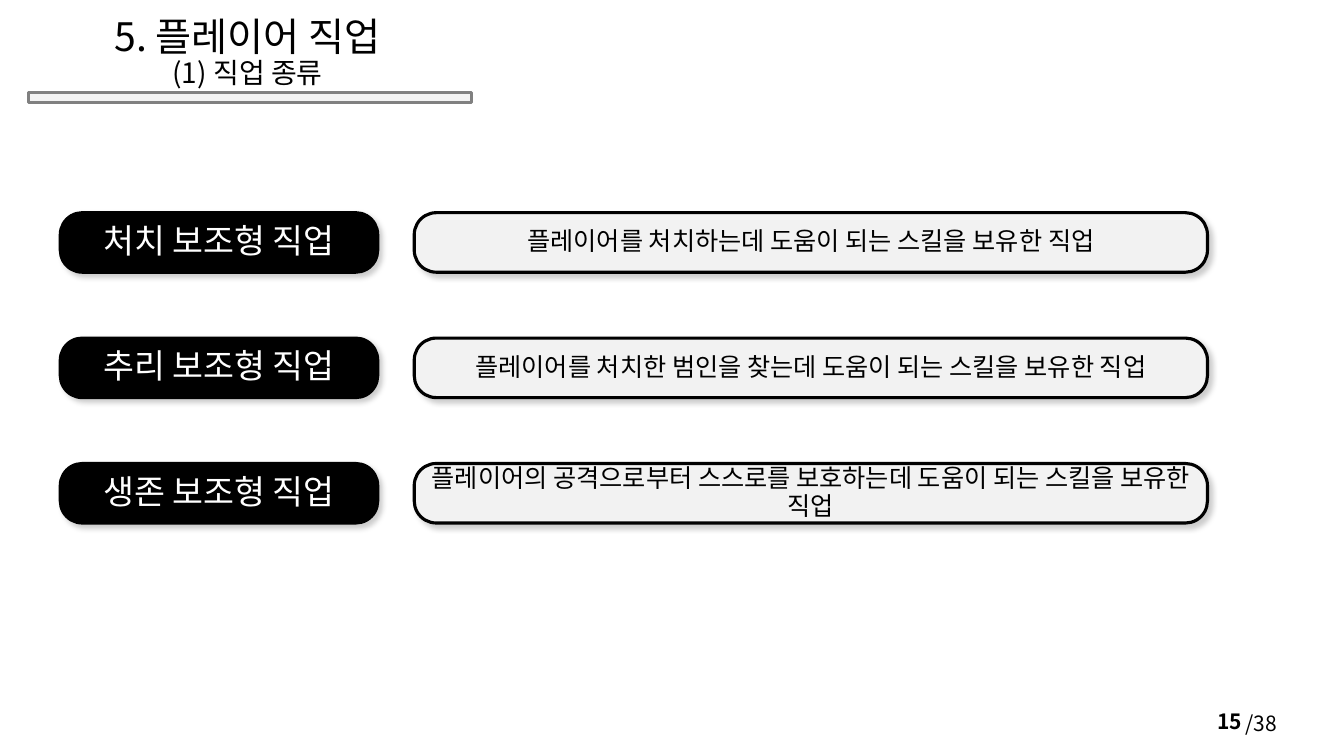
import pptx
import pptx.util
import pptx.dml.color
import pptx.enum.shapes
import pptx.enum.text
import lxml.etree
from pptx.oxml import parse_xml

Cm, Pt = pptx.util.Cm, pptx.util.Pt
ALIGN = pptx.enum.text.PP_ALIGN
ANCHOR = pptx.enum.text.MSO_ANCHOR
SHAPE = pptx.enum.shapes.MSO_SHAPE
FONT = "Noto Sans CJK KR"
NS = "http://schemas.openxmlformats.org/drawingml/2006/main"
SHADOW = (f'<a:effectLst xmlns:a="{NS}"><a:outerShdw blurRad="50800" dist="38100" '
          'dir="2700000" algn="tl" rotWithShape="0"><a:srgbClr val="000000">'
          '<a:alpha val="20000"/></a:srgbClr></a:outerShdw></a:effectLst>')


def rgb(code):
    return pptx.dml.color.RGBColor.from_string(code)


def style(box, size, color, align, anchor):
    """Format the first paragraph of a box and return it."""
    box.text_frame.word_wrap = True
    box.text_frame.vertical_anchor = anchor
    para = box.text_frame.paragraphs[0]
    para.alignment = align
    para.font.name = FONT
    para.font.size = Pt(size)
    para.font.color.rgb = rgb(color)
    latin = para.font._element.find(f"{{{NS}}}latin")
    east_asian = lxml.etree.Element(f"{{{NS}}}ea", typeface=FONT)
    latin.addnext(east_asian)
    return para


deck = pptx.Presentation()
deck.slide_width, deck.slide_height = Cm(33.87), Cm(19.05)
page = deck.slides.add_slide(deck.slide_layouts[6])

# Page total
total = page.shapes.add_textbox(Cm(31.14), Cm(17.78), Cm(1.88), Cm(0.89))
total.text_frame.text = "/38"
style(total, 15, "000000", ALIGN.LEFT, ANCHOR.TOP)

# Bar under the title
bar = page.shapes.add_shape(SHAPE.RECTANGLE, Cm(0.71), Cm(2.34), Cm(11.18), Cm(0.25))
bar.shadow.inherit = False
bar.fill.solid()
bar.fill.fore_color.rgb = rgb("F2F2F2")
bar.line.color.rgb = rgb("808080")
bar.line.width = Pt(2.25)

# Title and subtitle
title = page.shapes.add_textbox(Cm(0.97), Cm(0.74), Cm(10.54), Cm(1.65))
para = style(title, 28, "000000", ALIGN.CENTER, ANCHOR.BOTTOM)
para.line_spacing = 0.9
para.add_run().text = "5. 플레이어 직업"
para.add_line_break()
subtitle = para.add_run()
subtitle.text = "(1) 직업 종류"
subtitle.font.size = Pt(20)

# Page number
number = page.shapes.add_textbox(Cm(23.93), Cm(17.65), Cm(7.62), Cm(1.02))
number.text_frame.text = "15"
style(number, 15, "000000", ALIGN.RIGHT, ANCHOR.MIDDLE).font.bold = True

# Job types: name on the left, description on the right
jobs = [
    ("처치 보조형 직업", "플레이어를 처치하는데 도움이 되는 스킬을 보유한 직업"),
    ("추리 보조형 직업", "플레이어를 처치한 범인을 찾는데 도움이 되는 스킬을 보유한 직업"),
    ("생존 보조형 직업", "플레이어의 공격으로부터 스스로를 보호하는데 도움이 되는 스킬을 보유한 직업"),
]
columns = [  # left, width, fill, text size, text colour
    (1.52, 8, "000000", 24, "FFFFFF"),
    (10.44, 19.99, "F2F2F2", 18, "000000"),
]
for column, (left, width, fill, size, color) in enumerate(columns):
    for row, job in enumerate(jobs):
        pill = page.shapes.add_shape(SHAPE.ROUNDED_RECTANGLE, Cm(left),
                                     Cm(5.36 + 3.16 * row), Cm(width), Cm(1.5))
        pill.adjustments[0] = 0.37
        pill.fill.solid()
        pill.fill.fore_color.rgb = rgb(fill)
        pill.line.color.rgb = rgb("000000")
        pill.line.width = Pt(2.25)
        pill._element.spPr.append(parse_xml(SHADOW))
        pill.text_frame.text = job[column]
        style(pill, size, color, ALIGN.CENTER, ANCHOR.MIDDLE).line_spacing = 0.9

deck.save("out.pptx")
